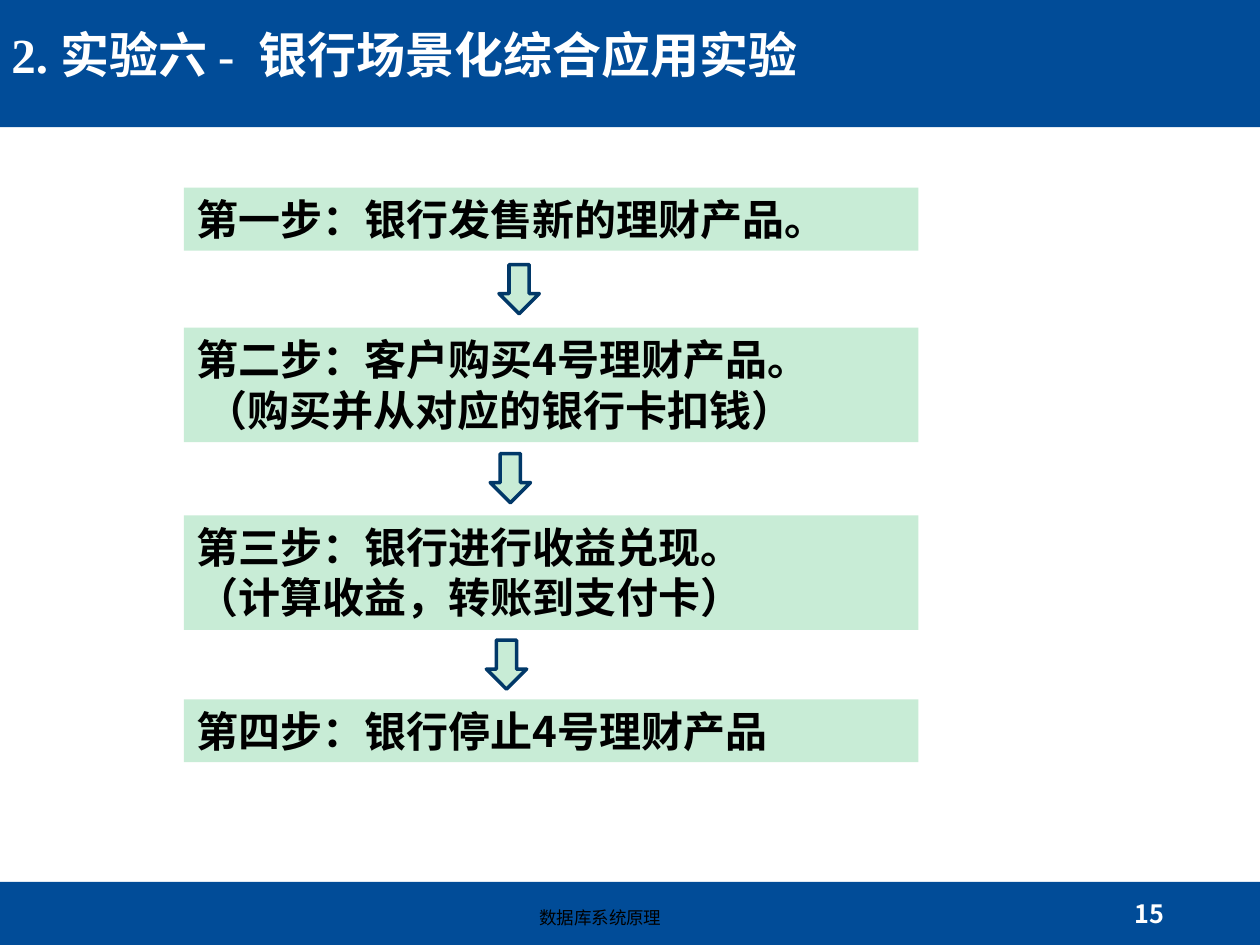
"""Build a slide showing the four steps of the banking experiment as a downward flow."""
from pptx import Presentation
from pptx import util as u
from pptx.dml.color import RGBColor
from pptx.enum import shapes, text
from pptx.oxml.ns import qn
from lxml import etree

COLORS = {"bar": "014C98", "step": "C8ECD6", "edge": "013868", "ink": "000000", "light": "FFFFFF"}
SANS, SERIF = "Noto Sans CJK SC", "Times New Roman"


def add_block(preset, left, top, width, height, color):
    block = slide.shapes.add_shape(preset, *map(u.Inches, (left, top, width, height)))
    block.shadow.inherit = False
    block.fill.solid()
    block.fill.fore_color.rgb = RGBColor.from_string(COLORS[color])
    block.line.fill.background()
    return block


def write(frame, lines, size, color, bold=True, face=SANS, align=text.PP_ALIGN.LEFT):
    frame.text = "\n".join(lines)
    for line in frame.paragraphs:
        line.alignment = align
        line.font.size, line.font.bold, line.font.name = u.Pt(size), bold, face
        line.font.color.rgb = RGBColor.from_string(COLORS[color])
        for run in line.runs:
            etree.SubElement(run._r.get_or_add_rPr(), qn("a:ea")).set("typeface", SANS)


deck = Presentation()
deck.slide_width, deck.slide_height = u.Inches(10), u.Inches(7.5)
slide = deck.slides.add_slide(deck.slide_layouts[5])

for top, height in ((7, 0.5), (-0.03, 1.04)):
    add_block(shapes.MSO_SHAPE.RECTANGLE, 0, top, 10, height, "bar")

heading = slide.shapes.title
slide.shapes._spTree.append(heading._element)
heading.left, heading.top, heading.width, heading.height = map(u.Inches, (-0.03, 0, 7.65, 0.85))
frame = heading.text_frame
frame.auto_size = text.MSO_AUTO_SIZE.NONE
frame.vertical_anchor = text.MSO_ANCHOR.MIDDLE
frame.margin_left = frame.margin_right = u.Inches(0.12)
frame.margin_top = frame.margin_bottom = u.Inches(0.06)
write(frame, ["2. 实验六 -  银行场景化综合应用实验"], 28, "light", face=SERIF)

footers = [
    (" 15", (8.86, 7.08, 0.99, 0.27), 14.4, "light", True, text.PP_ALIGN.LEFT),
    ("数据库系统原理", (3.18, 7.15, 3.17, 0.28), 10, "ink", False, text.PP_ALIGN.CENTER),
]
for words, place, size, color, bold, align in footers:
    footer = slide.shapes.add_textbox(*map(u.Inches, place)).text_frame
    footer.word_wrap = True
    write(footer, [words], size, color, bold, align=align)

steps = [
    (1.49, ["第一步：银行发售新的理财产品。"]),
    (2.6, ["第二步：客户购买4号理财产品。", " （购买并从对应的银行卡扣钱）"]),
    (4.09, ["第三步：银行进行收益兑现。", "（计算收益，转账到支付卡）"]),
    (5.55, ["第四步：银行停止4号理财产品"]),
]
for top, lines in steps:
    step = add_block(shapes.MSO_SHAPE.RECTANGLE, 1.46, top, 5.83, 0.09 + 0.41 * len(lines), "step")
    frame = step.text_frame
    frame.word_wrap = True
    frame.auto_size = text.MSO_AUTO_SIZE.SHAPE_TO_FIT_TEXT
    frame.vertical_anchor = text.MSO_ANCHOR.TOP
    write(frame, lines, 24, "ink")
    for line in frame.paragraphs:
        hanging = line._p.get_or_add_pPr()
        hanging.set("marL", str(u.Inches(0.29)))
        hanging.set("indent", str(-u.Inches(0.29)))

for left, top in ((3.96, 2.1), (3.89, 3.6), (3.86, 5.08)):
    arrow = add_block(shapes.MSO_SHAPE.DOWN_ARROW, left, top, 0.32, 0.39, "step")
    arrow.line.color.rgb = RGBColor.from_string(COLORS["edge"])
    arrow.line.width = u.Pt(2)

deck.save("out.pptx")
